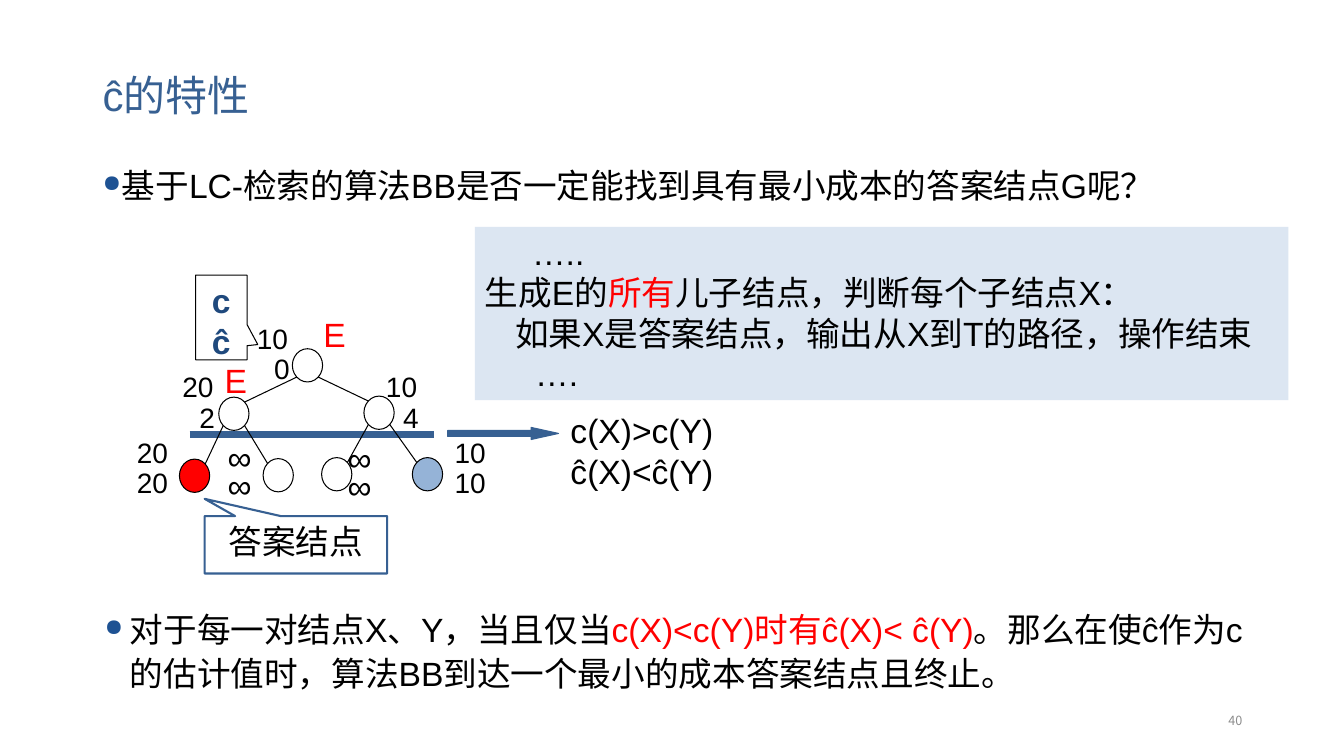
import dataclasses

import lxml.etree
import pptx
import pptx.dml.color
import pptx.enum.shapes
import pptx.enum.text
import pptx.oxml.ns
import pptx.util

SHAPE = pptx.enum.shapes.MSO_SHAPE
ALIGN = pptx.enum.text.PP_ALIGN
ANCHOR = pptx.enum.text.MSO_ANCHOR


@dataclasses.dataclass(frozen=True)
class Theme:
    latin: str = "Arial"
    chinese: str = "Noto Sans CJK SC"
    ink: str = "000000"
    accent: str = "376092"
    navy: str = "1F497D"
    bullet: str = "1E5293"
    alert: str = "FF0000"
    panel: str = "DCE6F2"
    leaf: str = "95B3D7"
    muted: str = "8C8C8C"
    title: float = 30
    body: float = 24
    cost: float = 20
    footer: float = 9
    hairline: float = 0.75


THEME = Theme()
SLIDE_WIDTH, SLIDE_HEIGHT = pptx.util.Inches(13.33), pptx.util.Inches(7.5)
COLUMNS, ROWS = 133.3, 75
NODE_WIDTH, NODE_HEIGHT = 3, 3.3
DIAGONAL = 0.35  # share of a node's size from its centre to an edge's end

# Centre column, centre row, fill
NODES = {
    "root": (30.5, 36.25, None),
    "left": (23.2, 41.05, None),
    "right": (37.6, 40.95, None),
    "answer": (19.3, 47.2, THEME.alert),
    "left dead end": (27.6, 47.15, None),
    "right dead end": (33.4, 47.05, None),
    "best leaf": (42.4, 47.05, THEME.leaf),
}
EDGES = [
    ("root", "left"), ("root", "right"),
    ("left", "answer"), ("left", "left dead end"),
    ("right", "right dead end"), ("right", "best leaf"),
]
# Column, row, cost c, estimate ĉ
COSTS = [
    (24.5, 32.3, "10", "0"), (17.1, 37.1, "20", "2"), (37.3, 37.1, "10", "4"),
    (12.6, 43.6, "20", "20"), (21.6, 43.9, "∞", "∞"),
    (33.5, 44, "∞", "∞"), (44.1, 43.6, "10", "10"),
]


def col(count):
    return round(SLIDE_WIDTH * count / COLUMNS)


def row(count):
    return round(SLIDE_HEIGHT * count / ROWS)


def rgb(color):
    return pptx.dml.color.RGBColor.from_string(color)


def add_bullet(paragraph, indent):
    properties = paragraph._p.get_or_add_pPr()
    properties.set("marL", str(col(indent)))
    properties.set("indent", str(-col(indent)))

    def add(parent, tag, **attributes):
        return lxml.etree.SubElement(parent, pptx.oxml.ns.qn(tag), attributes)

    add(add(properties, "a:buClr"), "a:srgbClr", val=THEME.bullet)
    add(properties, "a:buSzPct", val="70000")
    add(properties, "a:buChar", char="●")


def indent_paragraph(paragraph, margin, first_line):
    properties = paragraph._p.get_or_add_pPr()
    properties.set("marL", str(col(margin)))
    properties.set("indent", str(col(first_line)))


def write(shape, lines, size=THEME.body, color=THEME.ink, bold=False, align=ALIGN.LEFT,
          anchor=ANCHOR.TOP, spacing=None, font=THEME.latin):
    """Fill a shape with lines; a line is a string or a list of (text, color) parts."""
    frame = shape.text_frame
    frame.word_wrap = True
    frame.vertical_anchor = anchor
    for index, line in enumerate(lines):
        paragraph = frame.add_paragraph() if index else frame.paragraphs[0]
        paragraph.alignment = align
        if spacing:
            paragraph.line_spacing = spacing
        for text, part_color in [(line, color)] if isinstance(line, str) else line:
            run = paragraph.add_run()
            run.text = text
            run.font.name = font
            run.font.size = pptx.util.Pt(size)
            run.font.bold = bold
            run.font.color.rgb = rgb(part_color)
            east_asian = lxml.etree.Element(pptx.oxml.ns.qn("a:ea"), typeface=THEME.chinese)
            run.font._element.find(pptx.oxml.ns.qn("a:latin")).addnext(east_asian)
    return frame.paragraphs


def add_text(slide, left, top, width, height, lines, **style):
    box = slide.shapes.add_textbox(col(left), row(top), col(width), row(height))
    return write(box, lines, **style)


def add_figure(slide, kind, left, top, width, height, fill=None, line=None,
               line_width=THEME.hairline, adjustments=()):
    figure = slide.shapes.add_shape(kind, col(left), row(top), col(width), row(height))
    figure.shadow.inherit = False
    if fill:
        figure.fill.solid()
        figure.fill.fore_color.rgb = rgb(fill)
    else:
        figure.fill.background()
    if line:
        figure.line.color.rgb = rgb(line)
        figure.line.width = pptx.util.Pt(line_width)
    else:
        figure.line.fill.background()
    for index, value in enumerate(adjustments):
        figure.adjustments[index] = value
    return figure


def add_line(slide, start, end, color=THEME.ink, width=THEME.hairline):
    line = slide.shapes.add_connector(
        pptx.enum.shapes.MSO_CONNECTOR.STRAIGHT,
        col(start[0]), row(start[1]), col(end[0]), row(end[1]))
    line.line.color.rgb = rgb(color)
    line.line.width = pptx.util.Pt(width)
    lxml.etree.SubElement(line._element.spPr, pptx.oxml.ns.qn("a:effectLst"))


def add_bullet_text(slide, left, top, width, height, line, indent):
    paragraph, = add_text(slide, left, top, width, height, [line], spacing=1.1)
    add_bullet(paragraph, indent)


def add_edge(slide, parent, child):
    parent_x, parent_y, _ = NODES[parent]
    child_x, child_y, _ = NODES[child]
    reach_x = NODE_WIDTH * DIAGONAL * (1 if child_x > parent_x else -1)
    reach_y = NODE_HEIGHT * DIAGONAL
    add_line(slide, (parent_x + reach_x, parent_y + reach_y),
             (child_x - reach_x, child_y - reach_y))


def add_costs(slide, left, top, cost, estimate):
    """Put the cost above its estimate, with a lone digit set under the last digit."""
    infinite = cost == "∞"
    size = THEME.body if infinite else THEME.cost
    shift = 1.7 if len(estimate) < len(cost) else 0
    drop = 1.7 if infinite else 2.1
    add_text(slide, left, top, 7.4, 3.4, [cost], size=size, spacing=0.7)
    add_text(slide, left + shift, top + drop, 7.4, 4.3, [estimate], size=size)


def add_tree(slide):
    for parent, child in EDGES:
        add_edge(slide, parent, child)
    for costs in COSTS:
        add_costs(slide, *costs)
    for center_x, center_y, fill in NODES.values():
        add_figure(slide, SHAPE.OVAL, center_x - NODE_WIDTH / 2, center_y - NODE_HEIGHT / 2,
                   NODE_WIDTH, NODE_HEIGHT, fill=fill, line=THEME.ink)


def add_algorithm(slide):
    panel = add_figure(slide, SHAPE.RECTANGLE, 47.1, 22.5, 80.7, 17.2, fill=THEME.panel)
    opening, _, test, ending = write(panel, [
        "…..",
        [("生成E的", THEME.ink), ("所有", THEME.alert), ("儿子结点，判断每个子结点X：", THEME.ink)],
        "如果X是答案结点，输出从X到T的路径，操作结束",
        "….",
    ])
    indent_paragraph(opening, 0, 4.7)
    indent_paragraph(test, 0, 3)
    indent_paragraph(ending, 5, 0)


def add_callouts(slide):
    answer = add_figure(slide, SHAPE.RECTANGULAR_CALLOUT, 20.3, 51.2, 18.1, 5.7,
                        line=THEME.accent, line_width=1.5, adjustments=(-0.5, -0.8))
    write(answer, ["答案结点"], align=ALIGN.CENTER, font=THEME.chinese)
    legend = add_figure(slide, SHAPE.RECTANGULAR_CALLOUT, 19.4, 27.3, 5.1, 8.4,
                        line=THEME.ink, adjustments=(0.71, 0.32))
    write(legend, ["c", "ĉ"], color=THEME.navy, bold=True, align=ALIGN.CENTER)


def main():
    deck = pptx.Presentation()
    deck.slide_width, deck.slide_height = SLIDE_WIDTH, SLIDE_HEIGHT
    slide = deck.slides.add_slide(deck.slide_layouts[6])

    add_text(slide, 9.2, 2.5, 115, 14.5, ["ĉ的特性"], size=THEME.title, color=THEME.accent,
             anchor=ANCHOR.MIDDLE, spacing=0.9)
    add_bullet_text(slide, 9.2, 15.5, 115, 7.7,
                    "基于LC-检索的算法BB是否一定能找到具有最小成本的答案结点G呢？", 1.9)
    add_text(slide, 94.2, 69.5, 30, 4, ["40"], size=THEME.footer, color=THEME.muted,
             align=ALIGN.RIGHT, anchor=ANCHOR.MIDDLE, font=THEME.chinese)

    add_callouts(slide)
    for left, top in [(31.1, 30.7), (21.3, 35.2)]:
        add_text(slide, left, top, 5, 5, ["E"], color=THEME.alert)
    add_line(slide, (18.8, 43.1), (43, 43.1), THEME.accent, 4.5)
    add_figure(slide, SHAPE.RIGHT_ARROW, 44.4, 42.4, 11, 1.2, fill=THEME.accent,
               line=THEME.accent, adjustments=(0.5, 2.26))
    add_text(slide, 55.6, 40.2, 20, 9.1, ["c(X)>c(Y)", "ĉ(X)<ĉ(Y)"])
    add_bullet_text(slide, 9.4, 59.5, 115, 12.1, [
        ("对于每一对结点X、Y，当且仅当", THEME.ink),
        ("c(X)<c(Y)时有ĉ(X)< ĉ(Y)", THEME.alert),
        ("。那么在使ĉ作为c的估计值时，算法BB到达一个最小的成本答案结点且终止。", THEME.ink),
    ], 2.5)
    add_algorithm(slide)
    add_tree(slide)

    deck.save("out.pptx")


if __name__ == "__main__":
    main()
